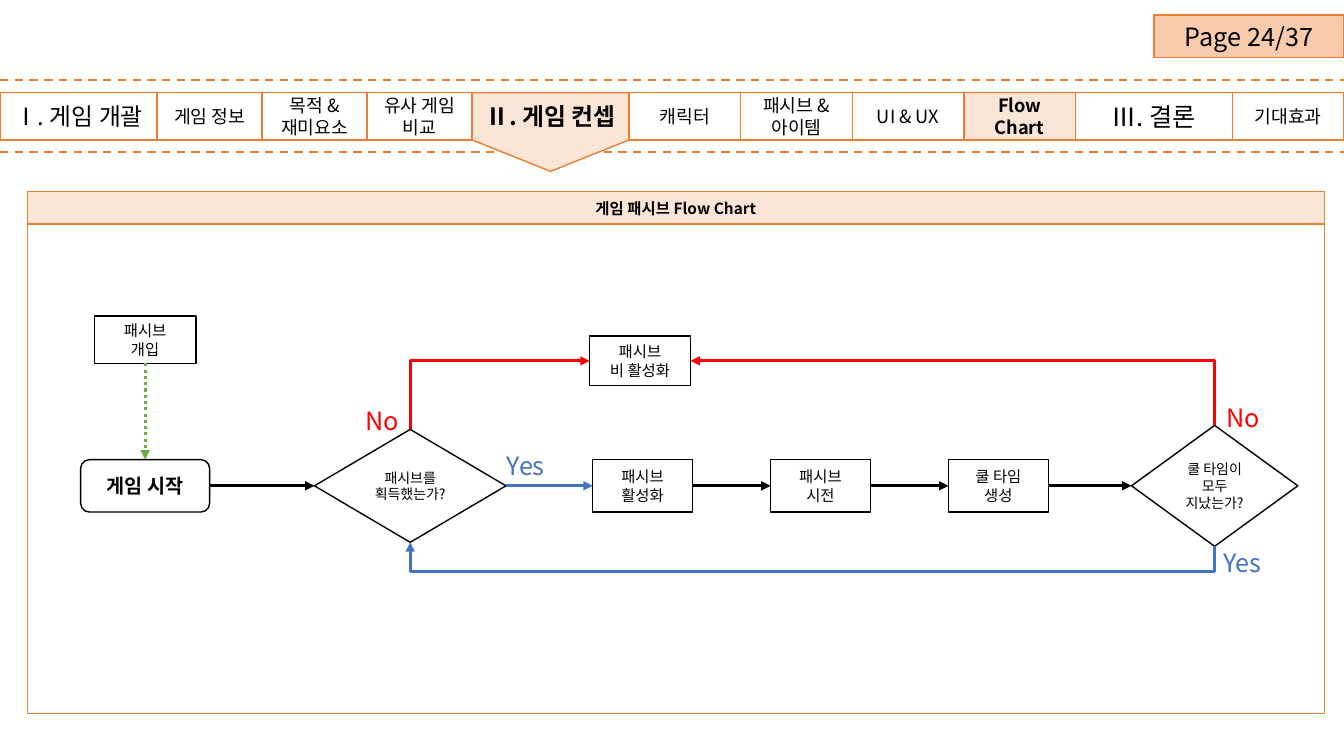
from dataclasses import dataclass
from itertools import accumulate

from lxml.etree import SubElement
from pptx import Presentation
from pptx.dml.color import RGBColor
from pptx.enum.dml import MSO_LINE
from pptx.enum.shapes import MSO_CONNECTOR, MSO_SHAPE
from pptx.enum.text import MSO_ANCHOR, PP_ALIGN
from pptx.oxml.ns import qn
from pptx.util import Inches, Pt

COLS, ROWS = 80, 45  # square grid cells on a 13.33 x 7.5 slide
TOP, LEFT, BASE, RIGHT = range(4)  # connection sites of a shape


@dataclass(frozen=True)
class Theme:
    font: str = "Noto Sans CJK KR"
    ink: str = "000000"
    paper: str = "FFFFFF"
    edge: str = "ED7D31"
    pale: str = "FBE5D6"
    peach: str = "F8CBAD"
    red: str = "FF0000"
    blue: str = "4472C4"
    green: str = "70AD47"
    large: int = 18
    head: int = 17
    start: int = 14
    tab: int = 13
    node: int = 11
    small: int = 10
    thin: float = 1
    dash: float = 1.5
    thick: float = 2.25


THEME = Theme()


@dataclass(frozen=True)
class Area:
    x: float
    y: float
    w: float
    h: float

    def place(self) -> tuple:
        return unit(self.x), unit(self.y), unit(self.w), unit(self.h)


@dataclass(frozen=True)
class Tab:
    text: str
    width: float
    size: int = THEME.tab
    bold: bool = False
    fill: str = THEME.paper
    inset: float = 0


@dataclass(frozen=True)
class Node:
    key: str
    text: str
    x: float  # centre
    y: float
    w: float
    h: float
    form: MSO_SHAPE = MSO_SHAPE.RECTANGLE
    size: int = THEME.node
    bold: bool = False


@dataclass(frozen=True)
class Link:
    start: str
    leave: int
    end: str
    enter: int
    color: str = THEME.ink
    dash: MSO_LINE | None = None
    turn: str = ""  # "corner" or "loop" for bent links


@dataclass(frozen=True)
class Label:
    text: str
    x: float
    y: float
    color: str


LONG, MID, WIDE = 9.35, 6.25, 6.64
ACTIVE = 4
TABS = [
    Tab("Ⅰ. 게임 개괄", LONG, THEME.head),
    Tab("게임 정보", MID),
    Tab("목적 &\n재미요소", MID),
    Tab("유사 게임\n비교", MID),
    Tab("Ⅱ. 게임 컨셉", LONG, THEME.head, True, THEME.pale),
    Tab("캐릭터", WIDE),
    Tab("패시브 &\n아이템", WIDE),
    Tab("UI & UX", WIDE),
    Tab("Flow Chart", WIDE, bold=True, fill=THEME.pale, inset=1.2),
    Tab("Ⅲ. 결론", LONG, THEME.large),
    Tab("기대효과", WIDE),
]

MAIN, STEP, PITCH = 28.92, 38.25, 10.59
NODES = [
    Node("start", "게임 시작", 8.64, MAIN, 7.68, 3.12,
         MSO_SHAPE.ROUNDED_RECTANGLE, THEME.start, True),
    Node("enter", "패시브\n개입", 8.64, 20.22, 6.06, 2.82),
    Node("gain", "패시브를\n획득했는가?", 24.42, MAIN, 11.4, 6.72,
         MSO_SHAPE.FLOWCHART_DECISION, THEME.small),
    Node("off", "패시브\n비 활성화", 38.1, 21.48, 6, 2.94),
    *(Node(key, text, STEP + i * PITCH, MAIN, 5.94, 3.12)
      for i, (key, text) in enumerate(
          [("on", "패시브\n활성화"), ("cast", "패시브\n시전"), ("cool", "쿨 타임\n생성")])),
    Node("done", "쿨 타임이 모두\n지났는가?", 72.3, MAIN, 9.9, 7.2,
         MSO_SHAPE.FLOWCHART_DECISION, THEME.small),
]
LINKS = [
    Link("enter", BASE, "start", TOP, THEME.green, MSO_LINE.ROUND_DOT),
    Link("start", RIGHT, "gain", LEFT),
    Link("gain", RIGHT, "on", LEFT, THEME.blue),
    Link("on", RIGHT, "cast", LEFT),
    Link("cast", RIGHT, "cool", LEFT),
    Link("cool", RIGHT, "done", LEFT),
    Link("gain", TOP, "off", LEFT, THEME.red, turn="corner"),
    Link("done", TOP, "off", RIGHT, THEME.red, turn="corner"),
    Link("done", BASE, "gain", BASE, THEME.blue, turn="loop"),
]
LABELS = [
    Label("No", 21.18, 23.82, THEME.red),
    Label("No", 72.42, 23.64, THEME.red),
    Label("Yes", 29.58, 26.52, THEME.blue),
    Label("Yes", 72.24, 32.28, THEME.blue),
]


def unit(cells: float) -> int:
    return Inches(cells / 6)


def paint(part, color: str) -> None:
    part.fill.solid()
    part.fill.fore_color.rgb = RGBColor.from_string(color)


def stroke(line, color: str, width: float, dash=None) -> None:
    line.color.rgb = RGBColor.from_string(color)
    line.width = Pt(width)
    if dash:
        line.dash_style = dash


def write(frame, text: str, size: int, color=THEME.ink, bold=False,
          align=PP_ALIGN.CENTER) -> None:
    """Fill a frame with one paragraph per line of text."""
    for i, line in enumerate(text.split("\n")):
        para = frame.add_paragraph() if i else frame.paragraphs[0]
        para.alignment = align
        run = para.add_run()
        run.text = line
        font = run.font
        font.name, font.size, font.bold = THEME.font, Pt(size), bold
        font.color.rgb = RGBColor.from_string(color)
        SubElement(font._element, qn("a:ea"), typeface=THEME.font)


def draw(slide, form, area: Area, fill: str, edge: str):
    shape = slide.shapes.add_shape(form, *area.place())
    shape.shadow.inherit = False
    paint(shape, fill)
    stroke(shape.line, edge, THEME.thin)
    shape.text_frame.word_wrap = True
    shape.text_frame.vertical_anchor = MSO_ANCHOR.MIDDLE
    return shape


def join(slide, form, ends: tuple, color: str, width: float, dash=None):
    wire = slide.shapes.add_connector(form, *ends)
    stroke(wire.line, color, width, dash)
    SubElement(wire._element.spPr, qn("a:effectLst"))
    return wire


def add_panel(slide) -> None:
    table = slide.shapes.add_table(2, 1, *Area(1.62, 11.4, 77.22, 30.9).place()).table
    table.rows[0].height, table.rows[1].height = unit(1.74), unit(29.16)
    for row, (fill, base) in enumerate([(THEME.pale, 2), (THEME.paper, 1)]):
        cell = table.cell(row, 0)
        cell.vertical_anchor = MSO_ANCHOR.MIDDLE
        props = cell._tc.get_or_add_tcPr()
        for side, width in zip("LRTB", (1, 1, 1 + row, base)):
            line = SubElement(props, qn(f"a:ln{side}"), w=str(Pt(width)))
            solid = SubElement(line, qn("a:solidFill"))
            SubElement(solid, qn("a:srgbClr"), val=THEME.edge)
        paint(cell, fill)
    write(table.cell(0, 0).text_frame, "게임 패시브 Flow Chart", THEME.node, bold=True)


def add_tabs(slide) -> None:
    top, tall, point = 5.52, 2.82, 4.68
    lefts = accumulate((tab.width for tab in TABS), initial=0)
    for i, (tab, left) in enumerate(zip(TABS, lefts)):
        area = Area(left, top, tab.width, tall)
        if i == ACTIVE:
            shift = (tab.width - point) / 2
            flag = draw(slide, MSO_SHAPE.PENTAGON,
                        Area(left + shift, top - shift, point, tab.width), tab.fill, THEME.edge)
            flag.rotation, flag.adjustments[0] = 90, 0.4
            box = slide.shapes.add_textbox(*area.place())
        else:
            box = draw(slide, MSO_SHAPE.RECTANGLE, area, tab.fill, THEME.edge)
        frame = box.text_frame
        frame.word_wrap, frame.vertical_anchor = True, MSO_ANCHOR.MIDDLE
        frame.margin_left = frame.margin_right = unit(tab.inset)
        frame.margin_top = frame.margin_bottom = 0
        write(frame, tab.text, tab.size, bold=tab.bold)


def bend(wire, turn: str) -> None:
    """Turn an elbow so that it leaves its start upwards or downwards."""
    x, y, end, low = wire.begin_x, wire.begin_y, wire.end_x, wire.end_y
    wide, tall = abs(end - x), abs(low - y)
    wire.left, wire.top = (x + end - tall) // 2, (y + low - wide) // 2
    wire.width, wire.height = tall, wide
    right, loop = end > x, turn == "loop"
    frame = wire._element.spPr.find(qn("a:xfrm"))
    frame.set("rot", str((90 if right or loop else 270) * 60000))
    frame.set("flipH", str(int(right or loop)))
    frame.set("flipV", str(int(not loop)))
    shape = wire._element.spPr.find(qn("a:prstGeom"))
    shape.set("prst", "bentConnector3" if loop else "bentConnector2")
    if loop:
        drop = -round(unit(1.5) / tall * 100000)
        SubElement(shape.find(qn("a:avLst")), qn("a:gd"), name="adj1", fmla=f"val {drop}")


def add_flow(slide) -> None:
    shapes = {}
    for node in NODES:
        area = Area(node.x - node.w / 2, node.y - node.h / 2, node.w, node.h)
        shapes[node.key] = draw(slide, node.form, area, THEME.paper, THEME.ink)
        write(shapes[node.key].text_frame, node.text, node.size, bold=node.bold)
    for link in LINKS:
        form = MSO_CONNECTOR.ELBOW if link.turn else MSO_CONNECTOR.STRAIGHT
        wire = join(slide, form, (0, 0, 0, 0), link.color, THEME.thick, link.dash)
        wire.begin_connect(shapes[link.start], link.leave)
        wire.end_connect(shapes[link.end], link.enter)
        SubElement(wire.line._get_or_add_ln(), qn("a:tailEnd"), type="triangle")
        if link.turn:
            bend(wire, link.turn)
    for label in LABELS:
        box = slide.shapes.add_textbox(*Area(label.x, label.y, 3.72, 2.4).place())
        write(box.text_frame, label.text, THEME.large, label.color, align=PP_ALIGN.LEFT)


def main() -> None:
    deck = Presentation()
    deck.slide_width, deck.slide_height = unit(COLS), unit(ROWS)
    slide = deck.slides.add_slide(deck.slide_layouts[6])
    add_panel(slide)
    for y in (4.74, 9.06):
        join(slide, MSO_CONNECTOR.STRAIGHT, (0, unit(y), unit(COLS), unit(y)),
             THEME.edge, THEME.dash, MSO_LINE.DASH)
    page = draw(slide, MSO_SHAPE.RECTANGLE, Area(68.7, 0.9, 11.3, 2.52), THEME.peach, THEME.edge)
    write(page.text_frame, "Page 24/37", THEME.large)
    add_tabs(slide)
    add_flow(slide)
    deck.save("out.pptx")


if __name__ == "__main__":
    main()
